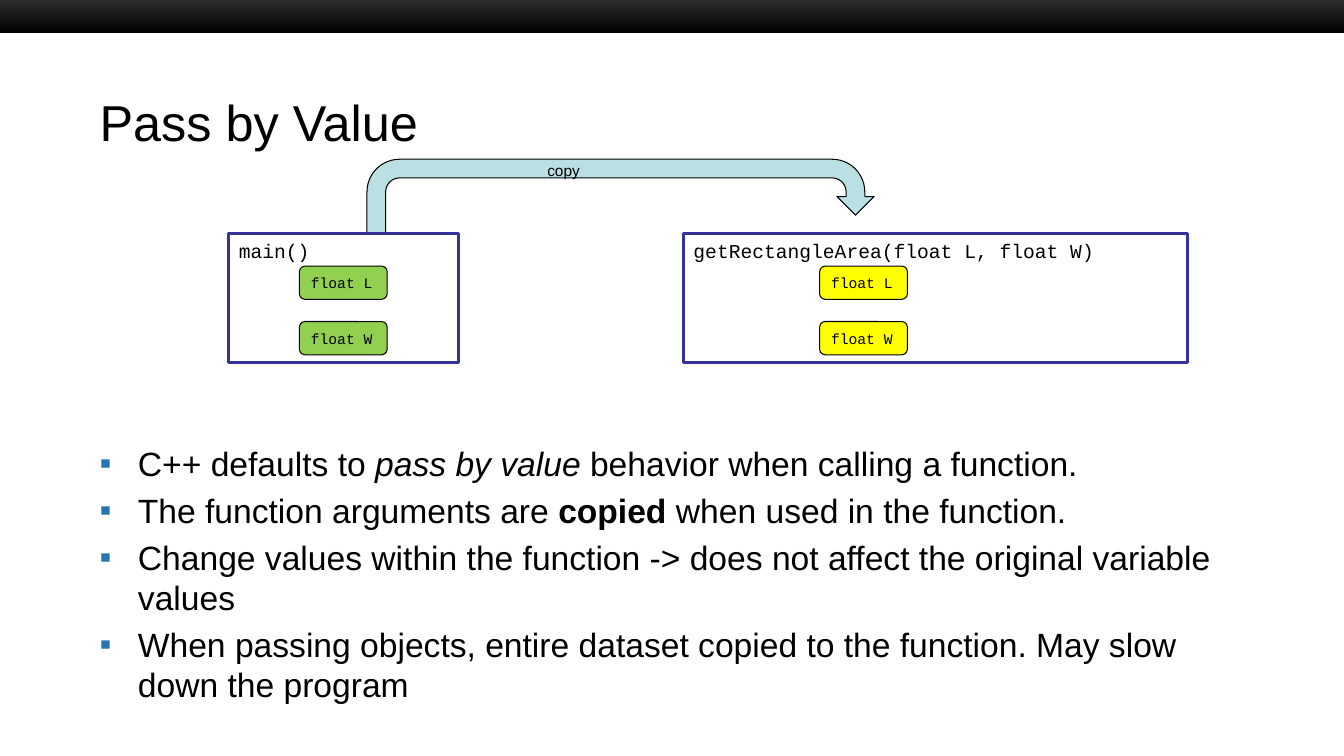
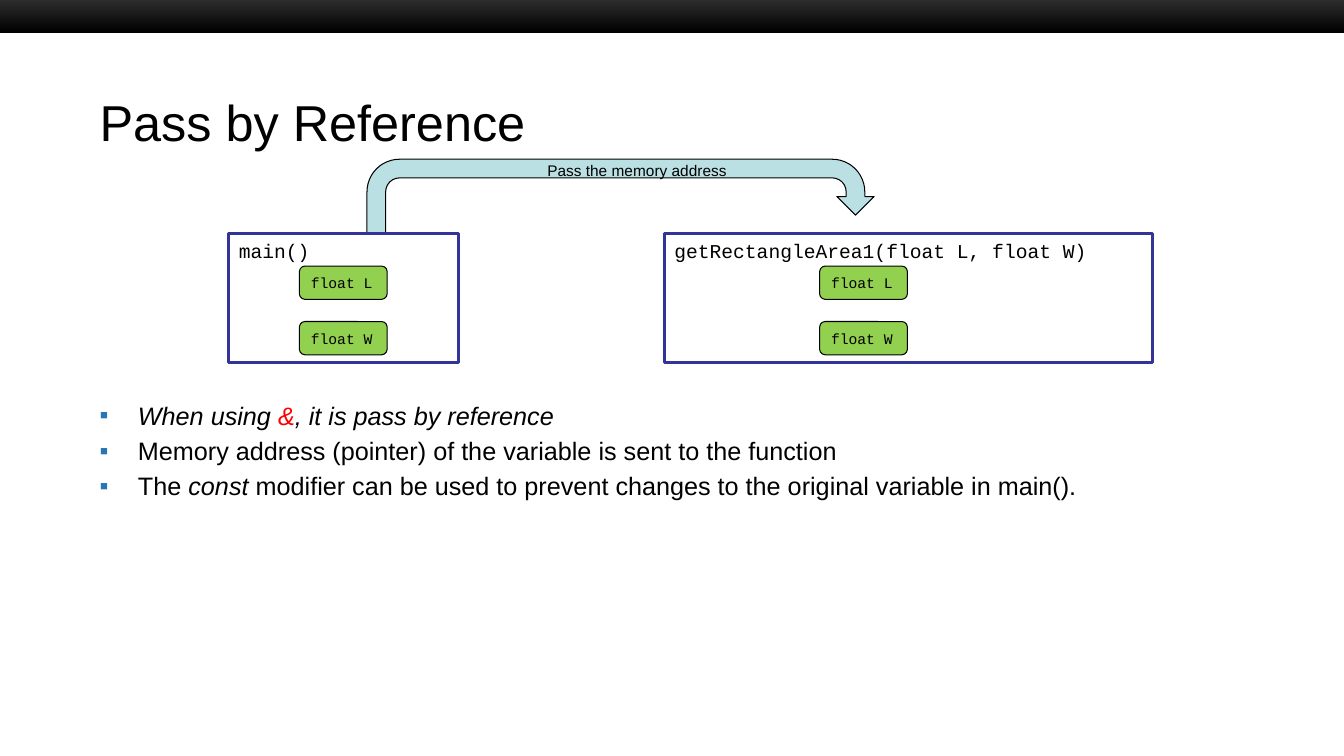
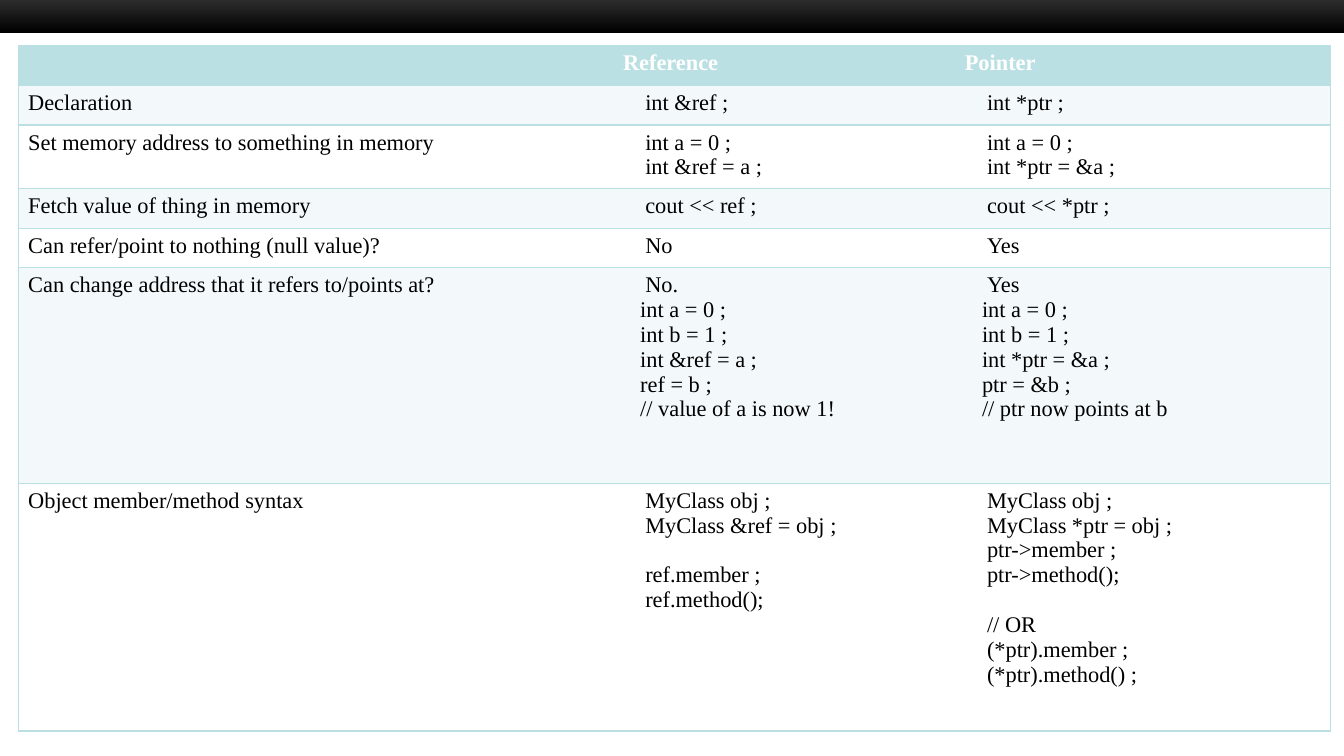
import pptx
import pptx.util
import pptx.dml.color
import pptx.enum.shapes
import pptx.enum.text
import pptx.oxml
import pptx.oxml.ns
from pptx.util import Inches

RGBColor = pptx.dml.color.RGBColor
Pt = pptx.util.Pt
SHAPE = pptx.enum.shapes.MSO_SHAPE
ANCHOR = pptx.enum.text.MSO_ANCHOR
ALIGN = pptx.enum.text.PP_ALIGN

# Shared look
BLACK = RGBColor(0x00, 0x00, 0x00)
WHITE = RGBColor(0xFF, 0xFF, 0xFF)
CHARCOAL = RGBColor(0x33, 0x33, 0x33)
TEAL = RGBColor(0xBB, 0xE0, 0xE3)
PALE_TEAL = RGBColor(0xF3, 0xF9, 0xFA)
NAVY = RGBColor(0x33, 0x33, 0x99)
BULLET_BLUE = RGBColor(0x26, 0x75, 0xB4)
GREEN = RGBColor(0x92, 0xD0, 0x50)
YELLOW = RGBColor(0xFF, 0xFF, 0x00)
RED = RGBColor(0xFF, 0x00, 0x00)
SANS, MONO, SERIF = "Arial", "Courier New", "Times New Roman"
NO_STYLE = "{2D5ABB26-0587-4C30-8999-92F81FD0307C}"
ITALIC, BOLD = {"italic": True}, {"bold": True}

# Diagram slides: each bullet is a list of (text, format) runs
DIAGRAMS = [
    {
        "title": "Pass by Value",
        "arrow_label": ("copy", 0.53),
        "callee": ("getRectangleArea(float L, float W)", 6.78, 5),
        "callee_fill": YELLOW,
        "body": (4.34, 2.59, 24),
        "bullets": [
            [("C++ defaults to ", {}), ("pass by value", ITALIC),
             (" behavior when calling a function.", {})],
            [("The function arguments are ", {}), ("copied", BOLD),
             (" when used in the function.", {})],
            [("Change values within the function -> does not affect the "
              "original variable values", {})],
            [("When passing objects, entire dataset copied to the function. "
              "May slow down the program", {})],
        ],
    },
    {
        "title": "Pass by Reference",
        "arrow_label": ("Pass the memory address", 1.99),
        "callee": ("getRectangleArea1(float L, float W)", 6.59, 4.84),
        "callee_fill": GREEN,
        "body": (3.92, 1.66, 18),
        "bullets": [
            [("When using ", ITALIC), ("&", {"italic": True, "color": RED}),
             (", it is pass by reference", ITALIC)],
            [("Memory address (pointer) of the variable is sent to the function", {})],
            [("The ", {}), ("const", ITALIC),
             (" modifier can be used to prevent changes to the original "
              "variable in main().", {})],
        ],
    },
]
CALLER = ("main()", 2.27, 2.28)
VARIABLES = ["float L", "float W"]

# Comparison table: row height, label, reference lines, pointer lines.
# An empty line becomes space above the line that follows it.
HEADER = (0.39, "", ["Reference"], ["Pointer"])
ROWS = [
    (0.39, "Declaration", ["int &ref ;"], ["int *ptr ;"]),
    (0.62, "Set memory address to something in memory",
     ["int a = 0 ;", "int &ref = a ;"], ["int a = 0 ;", "int *ptr = &a ;"]),
    (0.39, "Fetch value of thing in memory", ["cout << ref ;"], ["cout << *ptr ;"]),
    (0.39, "Can refer/point to nothing (null value)?", ["No"], ["Yes"]),
    (2.14, "Can change address that it refers to/points at?",
     ["No.", "int a = 0 ;", "int b = 1 ;", "int &ref = a ;", "ref = b ;",
      "// value of a is now 1!"],
     ["Yes", "int a = 0 ;", "int b = 1 ;", "int *ptr = &a ;", "ptr = &b ;",
      "// ptr now points at b"]),
    (2.46, "Object member/method syntax",
     ["MyClass obj ;", "MyClass &ref = obj ;", "", "ref.member ;", "ref.method();"],
     ["MyClass obj ;", "MyClass *ptr = obj ;", "ptr->member ;", "ptr->method();",
      "", "// OR", "(*ptr).member ;", "(*ptr).method() ;"]),
]
COLUMN_WIDTHS = [5.9, 3.39, 3.73]
CODE_INDENT, ANSWER_CODE_INDENT = 0.22, 0.17
CELL_SIZE = 16


def add_xml(parent, xml):
    namespace = pptx.oxml.ns.nsdecls("a")
    parent.append(pptx.oxml.parse_xml(xml.replace(" ", f" {namespace} ", 1)))


def add_run(paragraph, text, **formats):
    run = paragraph.add_run()
    run.text = text
    run.font.color.rgb = formats.pop("color", BLACK)
    for name, value in formats.items():
        setattr(run.font, name, value)


def add_text_box(slide, left, top, width, height, **frame_formats):
    frame = slide.shapes.add_textbox(*map(Inches, (left, top, width, height))).text_frame
    for name, value in frame_formats.items():
        setattr(frame, name, value)
    return frame


def add_box(slide, preset, left, top, width, height, fill, line, line_width):
    shape = slide.shapes.add_shape(preset, *map(Inches, (left, top, width, height)))
    shape.shadow.inherit = False
    shape.fill.solid()
    shape.fill.fore_color.rgb = fill
    shape.line.color.rgb = line
    shape.line.width = Pt(line_width)
    return shape


def label_box(shape, text, size, anchor):
    frame = shape.text_frame
    frame.word_wrap = False
    frame.vertical_anchor = anchor
    frame.paragraphs[0].alignment = ALIGN.LEFT
    add_run(frame.paragraphs[0], text, name=MONO, size=Pt(size))


def add_slide(presentation):
    """Blank slide with the dark band along the top."""
    slide = presentation.slides.add_slide(presentation.slide_layouts[6])
    band = slide.shapes.add_shape(
        SHAPE.RECTANGLE, 0, Inches(-0.05), presentation.slide_width, Inches(0.38))
    band.shadow.inherit = False
    band.line.fill.background()
    band.fill.gradient()
    band.fill.gradient_angle = 270
    for stop, color, position in zip(band.fill.gradient_stops, (CHARCOAL, BLACK), (0, 1)):
        stop.color.rgb = color
        stop.position = position
    return slide


def add_function(slide, function, variable_left, variable_fill):
    """A function frame with its variables stacked inside."""
    name, left, width = function
    frame = add_box(slide, SHAPE.RECTANGLE, left, 2.32, width, 1.28, WHITE, NAVY, 2)
    label_box(frame, name, 14, ANCHOR.TOP)
    for index, variable in enumerate(VARIABLES):
        box = add_box(slide, SHAPE.ROUNDED_RECTANGLE, variable_left, 2.64 + 0.55 * index,
                      0.87, 0.33, variable_fill, BLACK, 0.75)
        label_box(box, variable, 10.5, ANCHOR.MIDDLE)


def add_bullets(slide, bullets, top, height, size):
    frame = add_text_box(slide, 0.89, top, 11.56, height, word_wrap=True)
    for index, runs in enumerate(bullets):
        paragraph = frame.paragraphs[0] if index == 0 else frame.add_paragraph()
        paragraph.space_before = Pt(0.2 * size)
        properties = paragraph._p.get_or_add_pPr()
        properties.set("marL", str(Inches(0.38)))
        properties.set("indent", str(-Inches(0.38)))
        add_xml(properties, f'<a:buClr ><a:srgbClr val="{BULLET_BLUE}"/></a:buClr>')
        add_xml(properties, f'<a:buFont typeface="{SANS}"/>')
        add_xml(properties, '<a:buChar char="▪"/>')
        for text, formats in runs:
            add_run(paragraph, text, name=SANS, size=Pt(size), **formats)


def build_diagram(presentation, content):
    slide = add_slide(presentation)
    title = add_text_box(slide, 0.89, 0.83, 11.56, 0.75,
                         word_wrap=True, vertical_anchor=ANCHOR.MIDDLE)
    add_run(title.paragraphs[0], content["title"], name=SANS, size=Pt(36))
    add_bullets(slide, content["bullets"], *content["body"])
    add_box(slide, SHAPE.U_TURN_ARROW, 3.64, 1.58, 5.03, 0.74, TEAL, BLACK, 0.75)
    add_function(slide, CALLER, 2.97, GREEN)
    add_function(slide, content["callee"], 8.13, content["callee_fill"])
    text, width = content["arrow_label"]
    label = add_text_box(slide, 5.33, 1.55, width, 0.29, word_wrap=False)
    add_run(label.paragraphs[0], text, name=SANS, size=Pt(11))


def fill_cell(cell, lines, indents, fill, sides, **formats):
    properties = cell._tc.get_or_add_tcPr()
    for side in sides:
        add_xml(properties, f'<a:ln{side} w="{Pt(1)}"><a:solidFill>'
                            f'<a:srgbClr val="{TEAL}"/></a:solidFill></a:ln{side}>')
    cell.fill.solid()
    cell.fill.fore_color.rgb = fill
    paragraph, gap = cell.text_frame.paragraphs[0], False
    for index, (line, indent) in enumerate(zip(lines, indents)):
        if not line:
            gap = True
            continue
        if index:
            paragraph = cell.text_frame.add_paragraph()
        paragraph._p.get_or_add_pPr().set("marL", str(Inches(indent)))
        if gap:
            paragraph.space_before = Pt(1.11 * CELL_SIZE)
            gap = False
        add_run(paragraph, line, name=SERIF, size=Pt(CELL_SIZE), **formats)


def build_comparison(presentation):
    slide = add_slide(presentation)
    rows = [HEADER] + ROWS
    table = slide.shapes.add_table(
        len(rows), len(COLUMN_WIDTHS), Inches(0.18), Inches(0.45),
        Inches(sum(COLUMN_WIDTHS)), Inches(sum(row[0] for row in rows))).table
    table.first_row = table.horz_banding = False
    table._tbl.tblPr.find(pptx.oxml.ns.qn("a:tableStyleId")).text = NO_STYLE
    for column, width in zip(table.columns, COLUMN_WIDTHS):
        column.width = Inches(width)
    for row_index, (height, label, *code) in enumerate(rows):
        table.rows[row_index].height = Inches(height)
        is_header = row_index == 0
        fill = TEAL if is_header else (WHITE, PALE_TEAL)[row_index % 2]
        formats = {"color": WHITE, "bold": True} if is_header else {}
        for column_index, lines in enumerate([[label], *code]):
            indents = [CODE_INDENT] * len(lines)
            if is_header or column_index == 0:
                indents = [0]
            elif lines[0] in ("No.", "Yes"):
                indents[1:] = [ANSWER_CODE_INDENT] * (len(lines) - 1)
            sides = ("LTB", "TB", "RTB")[column_index]
            fill_cell(table.cell(row_index, column_index), lines, indents, fill,
                      sides, **formats)


def main():
    presentation = pptx.Presentation()
    presentation.slide_width = Inches(13.33)
    presentation.slide_height = Inches(7.5)
    for content in DIAGRAMS:
        build_diagram(presentation, content)
    build_comparison(presentation)
    presentation.save("out.pptx")


if __name__ == "__main__":
    main()
